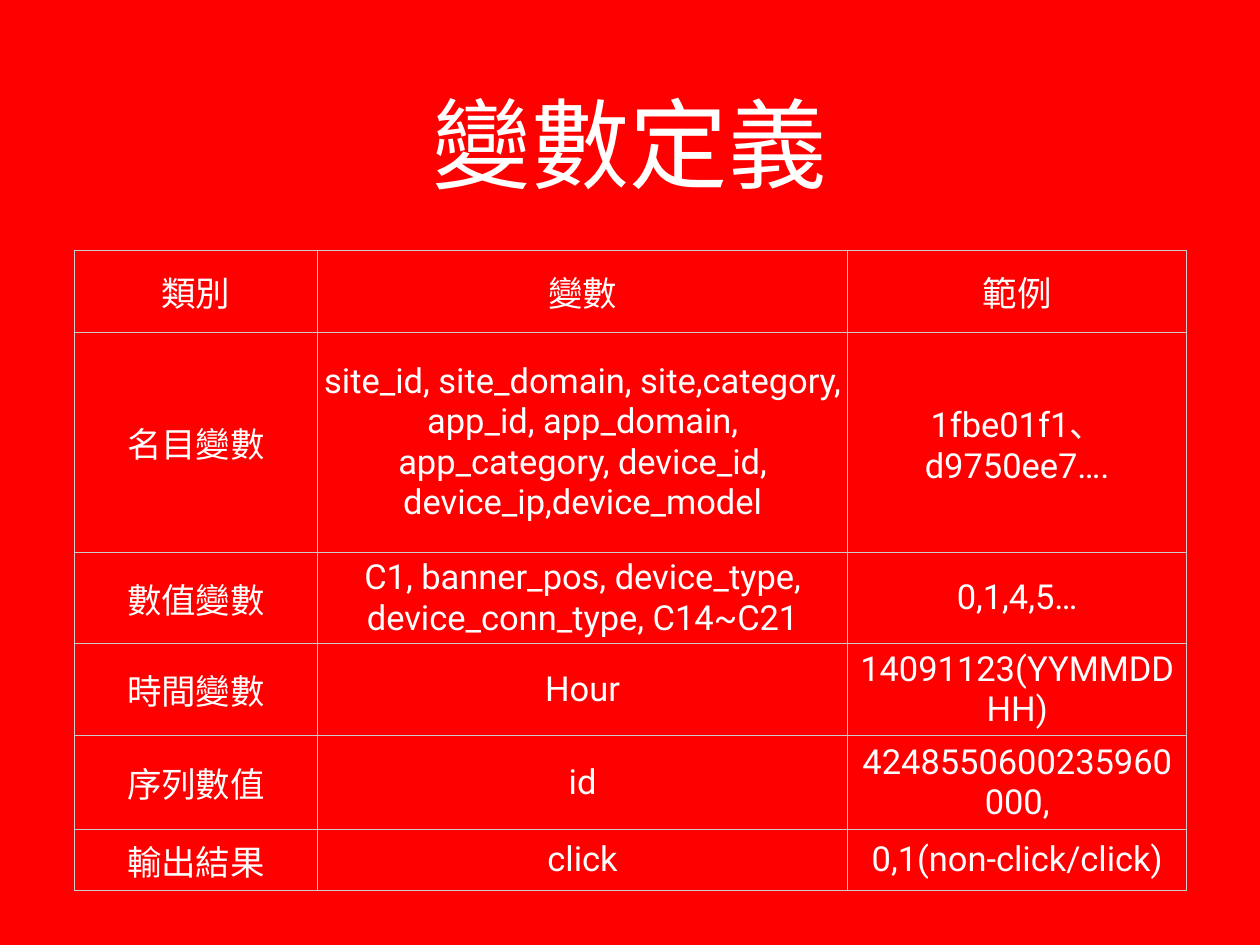
import pptx
import pptx.dml.color
import pptx.enum.text
import pptx.oxml
import pptx.oxml.ns
import pptx.util
from pptx.util import Inches

RED = pptx.dml.color.RGBColor(0xFF, 0x00, 0x00)
WHITE = pptx.dml.color.RGBColor(0xFF, 0xFF, 0xFF)
BORDER_GREY = pptx.dml.color.RGBColor(0xCB, 0xCB, 0xCB)
FONT = "Roboto"

COLUMN_WIDTHS = [2.74, 5.99, 3.82]
ROW_HEIGHTS = [0.92, 2.49, 0.92, 0.92, 1.07, 0.6]
VARIABLES = [
    ["類別", "變數", "範例"],
    ["名目變數",
     "site_id, site_domain, site,category, app_id, app_domain, "
     "app_category, device_id, device_ip,device_model",
     "1fbe01f1、d9750ee7…."],
    ["數值變數", "C1, banner_pos, device_type, device_conn_type, C14~C21", "0,1,4,5…"],
    ["時間變數", "Hour", "14091123(YYMMDDHH)"],
    ["序列數值", "id", "4248550600235960000,"],
    ["輸出結果", "click", "0,1(non-click/click)"],
]


def style_paragraph(para, size):
    para.alignment = pptx.enum.text.PP_ALIGN.CENTER
    para.font.name = FONT
    para.font.size = pptx.util.Pt(size)
    para.font.bold = False
    para.font.color.rgb = WHITE


def add_title(page, text, left, top, width, height):
    title = page.shapes.title
    title.left, title.top = Inches(left), Inches(top)
    title.width, title.height = Inches(width), Inches(height)
    frame = title.text_frame
    frame.text = text
    frame.auto_size = pptx.enum.text.MSO_AUTO_SIZE.NONE
    frame.vertical_anchor = pptx.enum.text.MSO_ANCHOR.MIDDLE
    frame.margin_left = frame.margin_right = 0
    frame.margin_top = frame.margin_bottom = 0
    style_paragraph(frame.paragraphs[0], 80)


def set_borders(cell):
    """Give all four sides a thin grey line, placed before the cell's fill."""
    properties = cell._tc.get_or_add_tcPr()
    namespace = pptx.oxml.ns.nsdecls("a")
    for position, side in enumerate(["lnL", "lnR", "lnT", "lnB"]):
        line = pptx.oxml.parse_xml(
            f'<a:{side} {namespace} w="{pptx.util.Pt(1)}"><a:solidFill>'
            f'<a:srgbClr val="{BORDER_GREY}"/></a:solidFill></a:{side}>')
        properties.insert(position, line)


def fill_cell(cell, text):
    cell.text = text
    cell.vertical_anchor = pptx.enum.text.MSO_ANCHOR.MIDDLE
    cell.margin_left = cell.margin_right = Inches(0.06)
    cell.margin_top = cell.margin_bottom = Inches(0.06)
    style_paragraph(cell.text_frame.paragraphs[0], 28)
    cell.fill.background()
    set_borders(cell)


def add_variable_table(page, left, top):
    frame = page.shapes.add_table(
        len(ROW_HEIGHTS), len(COLUMN_WIDTHS), Inches(left), Inches(top),
        Inches(sum(COLUMN_WIDTHS)), Inches(sum(ROW_HEIGHTS)))
    table = frame.table
    table.first_row = table.horz_banding = False
    for column, width in zip(table.columns, COLUMN_WIDTHS):
        column.width = Inches(width)
    for row, height, texts in zip(table.rows, ROW_HEIGHTS, VARIABLES):
        row.height = Inches(height)
        for cell, text in zip(row.cells, texts):
            fill_cell(cell, text)


def main():
    deck = pptx.Presentation()
    deck.slide_width, deck.slide_height = Inches(14.22), Inches(10.67)
    page = deck.slides.add_slide(deck.slide_layouts.get_by_name("Title Only"))
    page.background.fill.solid()
    page.background.fill.fore_color.rgb = RED
    add_title(page, "變數定義", 1.04, 0.44, 12.14, 2.32)
    add_variable_table(page, 0.84, 2.83)
    deck.save("out.pptx")


if __name__ == "__main__":
    main()
